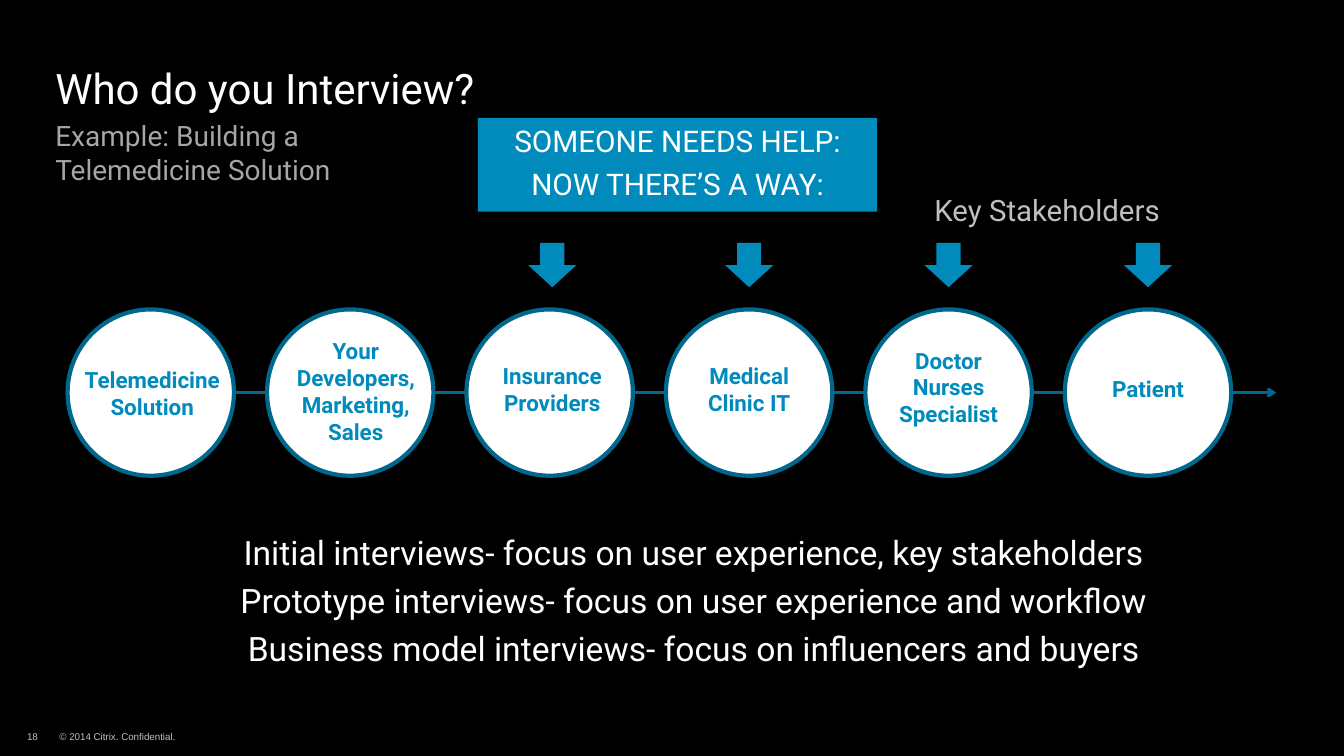
from lxml import etree
from pptx import Presentation
from pptx import util as u
from pptx.dml.color import RGBColor
from pptx.enum import shapes, text
from pptx.oxml.ns import qn

BLACK = RGBColor(0x00, 0x00, 0x00)
WHITE = RGBColor(0xFF, 0xFF, 0xFF)
SILVER = RGBColor(0xBF, 0xBF, 0xBF)
GRAY = RGBColor(0xA6, 0xA6, 0xA6)
BLUE = RGBColor(0x00, 0x8B, 0xBC)
DARK_BLUE = RGBColor(0x00, 0x68, 0x8D)

TITLE = ["Who do you Interview?"]
SUBTITLE = ["Example: Building a Telemedicine Solution"]
BANNER = ["SOMEONE NEEDS HELP:", "NOW THERE’S A WAY:"]
STAKEHOLDERS = ["Key Stakeholders"]
FINDINGS = [
    "Initial interviews- focus on user experience, key stakeholders",
    "Prototype interviews- focus on user experience and workflow",
    "Business model interviews- focus on influencers and buyers",
]
COPYRIGHT = ["© 2014 Citrix. Confidential."]
NUMBER = ["18"]

PEOPLE = [
    {"lines": ["Telemedicine Solution"], "rows": 2, "shift": 0.11, "top": 47.73, "width": 12.6, "arrow": False},
    {"lines": ["Your Developers, Marketing, Sales"], "rows": 4, "shift": 0.41, "top": 44, "width": 11.55, "arrow": False},
    {"lines": ["Insurance Providers"], "rows": 2, "shift": 0.19, "top": 47.2, "width": 10.65, "arrow": True},
    {"lines": ["Medical Clinic IT"], "rows": 2, "shift": 0, "top": 47.2, "width": 10.65, "arrow": True},
    {"lines": ["Doctor", "Nurses", "Specialist"], "rows": 3, "shift": 0, "top": 45.2, "width": 10.65, "arrow": True},
    {"lines": ["Patient"], "rows": 1, "shift": 0, "top": 48.93, "width": 10.65, "arrow": True},
]

CHAIN_LEFT, CHAIN_RIGHT, CHAIN_PITCH = 5.03, 94.97, 14.84
CIRCLE_TOP, CIRCLE_WIDTH, CIRCLE_HEIGHT = 40.93, 12.38, 22
ARROW_TOP, ARROW_WIDTH, ARROW_HEIGHT = 32.13, 3.6, 5.87
ROW_HEIGHT, ROW_MARGIN = 3.6, 1.33

presentation = Presentation()
presentation.slide_width = u.Inches(13.33)
presentation.slide_height = u.Inches(7.5)
slide = presentation.slides.add_slide(presentation.slide_layouts[6])
slide.background.fill.solid()
slide.background.fill.fore_color.rgb = BLACK


def across(percent):
    return round(presentation.slide_width * percent / 100)


def down(percent):
    return round(presentation.slide_height * percent / 100)


def place(left, top, width, height):
    return across(left), down(top), across(width), down(height)


def write(lines, area=None, shape=None, size=16, color=WHITE, font="Roboto", bold=False,
          align=text.PP_ALIGN.LEFT, anchor=text.MSO_ANCHOR.TOP, gap=0, spacing=None, wrap=True):
    shape = shape or slide.shapes.add_textbox(*place(*area))
    frame = shape.text_frame
    frame.word_wrap = wrap
    frame.vertical_anchor = anchor
    for index, line in enumerate(lines):
        paragraph = frame.paragraphs[0] if index == 0 else frame.add_paragraph()
        paragraph.alignment = align
        paragraph.space_before = u.Pt(gap if index else 0)
        if spacing:
            paragraph.line_spacing = u.Pt(spacing)
        run = paragraph.add_run()
        run.text = line
        run.font.name = font
        run.font.size = u.Pt(size)
        run.font.bold = bold
        run.font.color.rgb = color


def add_shape(preset, area, fill, line=None):
    shape = slide.shapes.add_shape(preset, *place(*area))
    shape.shadow.inherit = False
    shape.fill.solid()
    shape.fill.fore_color.rgb = fill
    if line:
        shape.line.color.rgb = line
        shape.line.width = u.Pt(3)
    else:
        shape.line.fill.background()
    return shape


def add_chain():
    middle = down(CIRCLE_TOP + CIRCLE_HEIGHT / 2)
    chain = slide.shapes.add_connector(
        shapes.MSO_CONNECTOR.STRAIGHT, across(CHAIN_LEFT), middle, across(CHAIN_RIGHT), middle)
    chain.line.color.rgb = DARK_BLUE
    chain.line.width = u.Pt(2)
    etree.SubElement(chain.line._get_or_add_ln(), qn("a:tailEnd"), type="arrow")
    etree.SubElement(chain._element.spPr, qn("a:effectLst"))


def add_person(column, person):
    left = CHAIN_LEFT + column * CHAIN_PITCH
    center = left + CIRCLE_WIDTH / 2 + person["shift"]
    add_shape(shapes.MSO_SHAPE.OVAL, (left, CIRCLE_TOP, CIRCLE_WIDTH, CIRCLE_HEIGHT), WHITE, DARK_BLUE)
    width = person["width"]
    height = person["rows"] * ROW_HEIGHT + ROW_MARGIN
    write(person["lines"], (center - width / 2, person["top"], width, height),
          color=BLUE, bold=True, align=text.PP_ALIGN.CENTER)
    if person["arrow"]:
        add_shape(shapes.MSO_SHAPE.DOWN_ARROW,
                  (center - ARROW_WIDTH / 2, ARROW_TOP, ARROW_WIDTH, ARROW_HEIGHT), BLUE)


write(COPYRIGHT, (3.68, 96, 21.08, 2.93), size=7, color=SILVER, font="Arial")
write(NUMBER, (1.28, 96, 4.65, 2.93), size=7, color=SILVER, font="Arial")
write(TITLE, (3.38, 1.2, 93.17, 14.4), size=30, anchor=text.MSO_ANCHOR.BOTTOM, spacing=32)
write(SUBTITLE, (3.38, 15.07, 31.36, 8.8), size=20, color=GRAY)

add_chain()
for column, person in enumerate(PEOPLE):
    add_person(column, person)

banner = add_shape(shapes.MSO_SHAPE.RECTANGLE, (35.56, 15.6, 29.71, 12.4), BLUE)
write(BANNER, shape=banner, size=21.3, align=text.PP_ALIGN.CENTER, gap=5)
write(FINDINGS, (6.6, 65.47, 90.02, 27.73), size=24, align=text.PP_ALIGN.CENTER,
      anchor=text.MSO_ANCHOR.MIDDLE, gap=5.6)
write(STAKEHOLDERS, (68.79, 24.8, 18.83, 6), size=21, color=SILVER, wrap=False)

presentation.save("out.pptx")
